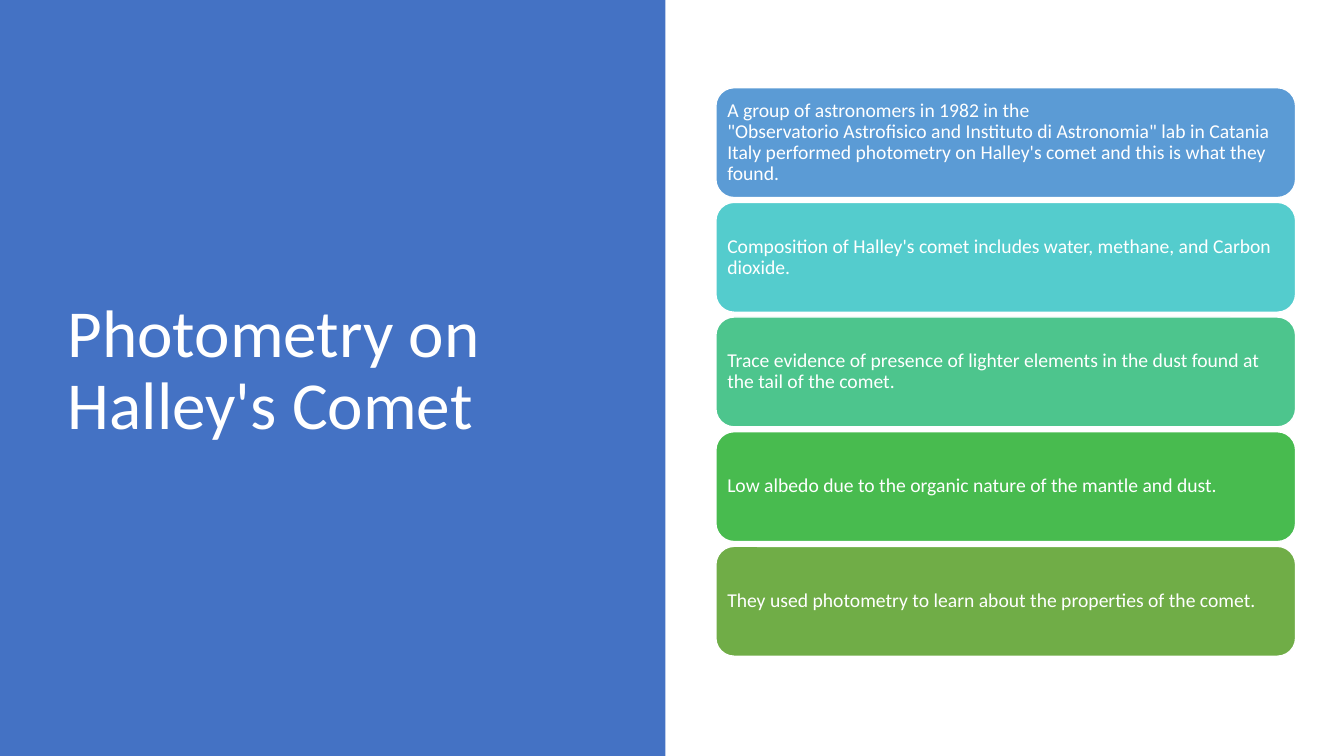
from pptx import Presentation
from pptx.dml.color import RGBColor
from pptx.enum.shapes import MSO_SHAPE as Preset
from pptx.enum.text import MSO_ANCHOR as Anchor, MSO_AUTO_SIZE as AutoSize, PP_ALIGN as Align
from pptx.util import Inches, Pt

WHITE = RGBColor(0xFF, 0xFF, 0xFF)
PANEL_BLUE = RGBColor(0x44, 0x72, 0xC4)
SKY = RGBColor(0x5B, 0x9B, 0xD5)
TURQUOISE = RGBColor(0x54, 0xCC, 0xCD)
MINT = RGBColor(0x4D, 0xC5, 0x8D)
GREEN = RGBColor(0x48, 0xBB, 0x4F)
OLIVE = RGBColor(0x70, 0xAD, 0x47)

TITLE = "Photometry on Halley's Comet"
FINDINGS = [
    ("A group of astronomers\u00a0in 1982 in the "
     "\"Observatorio\u00a0Astrofisico\u00a0and\u00a0Instituto di\u00a0Astronomia\" lab in Catania "
     "Italy performed photometry on\u00a0Halley's comet and this is what they found.", SKY),
    ("Composition of Halley's comet includes water, methane, and Carbon dioxide.\u00a0", TURQUOISE),
    ("Trace evidence of presence of lighter elements in the dust found at "
     "the tail of the comet.", MINT),
    ("Low albedo due to the organic nature of the mantle and dust.", GREEN),
    ("They used photometry to learn about the\u00a0properties\u00a0of the\u00a0comet.", OLIVE),
]

WIDTH, HEIGHT = 13.33, 7.5
PANEL_WIDTH = 6.6
CARD_LEFT, CARD_WIDTH, CARD_HEIGHT = 7.1, 5.75, 1.09
STACK_TOP, STACK_BOTTOM = 0.87, 6.51
PITCH = (STACK_BOTTOM - STACK_TOP - CARD_HEIGHT) / (len(FINDINGS) - 1)


def write(shape, text, size, inset_x, inset_y):
    box = shape.text_frame
    box.text = text
    box.word_wrap = True
    box.auto_size = AutoSize.NONE
    box.vertical_anchor = Anchor.MIDDLE
    box.margin_left = box.margin_right = Inches(inset_x)
    box.margin_top = box.margin_bottom = Inches(inset_y)
    para = box.paragraphs[0]
    para.alignment = Align.LEFT
    para.line_spacing = 0.9
    font = para.runs[0].font
    font.name, font.size, font.color.rgb = "Calibri", Pt(size), WHITE


def add_block(page, preset, left, top, width, height, fill):
    block = page.shapes.add_shape(preset, *map(Inches, (left, top, width, height)))
    block.shadow.inherit = False
    block.fill.solid()
    block.fill.fore_color.rgb = fill
    return block


deck = Presentation()
deck.slide_width, deck.slide_height = Inches(WIDTH), Inches(HEIGHT)
page = deck.slides.add_slide(deck.slide_layouts[5])

panel = add_block(page, Preset.RECTANGLE, 0, 0, PANEL_WIDTH, HEIGHT, PANEL_BLUE)
panel.line.fill.background()

title = page.shapes.title
title.element.addprevious(panel.element)
title.left, title.top, title.width, title.height = map(Inches, (0.57, 0.68, 5.67, 6.02))
write(title, TITLE, size=48, inset_x=0.1, inset_y=0.05)

for row, (finding, color) in enumerate(FINDINGS):
    card = add_block(page, Preset.ROUNDED_RECTANGLE, CARD_LEFT, STACK_TOP + row * PITCH,
                     CARD_WIDTH, CARD_HEIGHT, color)
    card.line.color.rgb = WHITE
    card.line.width = Pt(1)
    write(card, finding, size=14, inset_x=0.06, inset_y=0.06)

deck.save("out.pptx")
